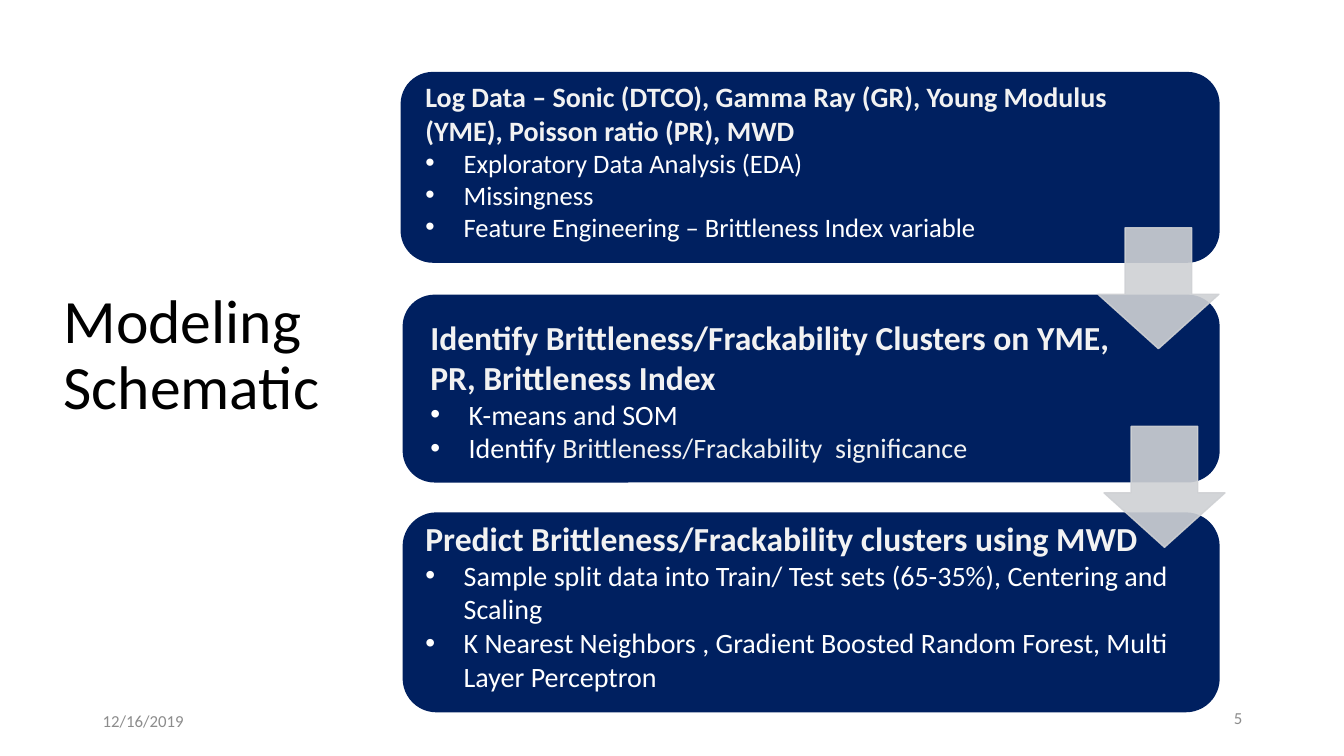
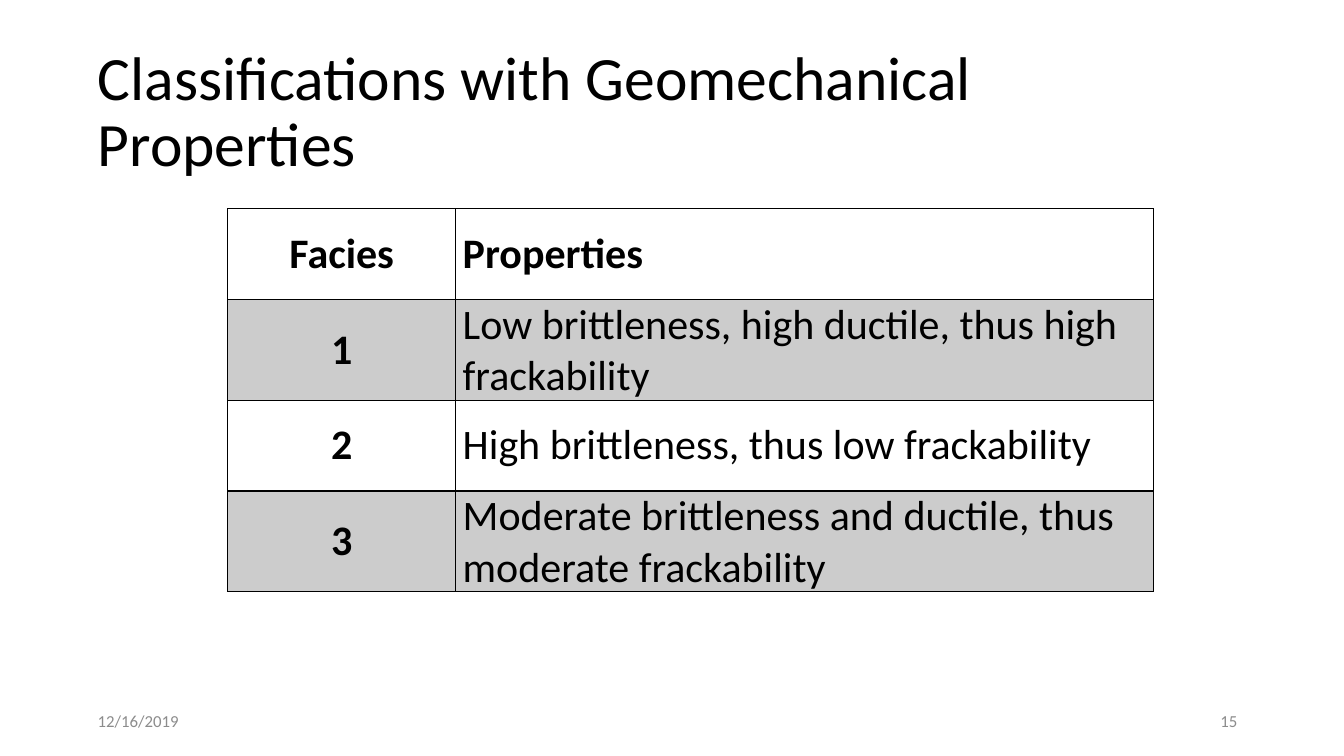
from lxml.etree import SubElement
from pptx import Presentation
from pptx.dml.color import RGBColor
from pptx.enum.shapes import MSO_SHAPE
from pptx.enum.text import MSO_ANCHOR, PP_ALIGN
from pptx.oxml import parse_xml
from pptx.oxml.ns import nsdecls, qn
from pptx.util import Inches, Pt

# Content
DATE = "12/16/2019"
STAGES = [
    dict(box=(3.98, 0.72, 8.11, 1.88), text_at=(4.12, 0.74, 7.58, 2.07), sizes=(20, 19),
         head="Log Data – Sonic (DTCO), Gamma Ray (GR), Young Modulus (YME), Poisson ratio (PR), MWD",
         points=[["Exploratory Data Analysis (EDA)"], ["Missingness"],
                 ["Feature Engineering – Brittleness Index variable"]]),
    dict(box=(4, 2.93, 8.09, 1.85), text_at=(4.17, 3.09, 6.96, 1.58), sizes=(24, 20),
         head="Identify Brittleness/Frackability Clusters on YME, PR, Brittleness Index",
         points=[["K-means and SOM"],
                 ["Identify ", "Brittleness/Frackability  significance"]]),
    dict(box=(4, 5.09, 8.09, 1.97), text_at=(4.12, 5.09, 8.09, 1.85), sizes=(24, 20),
         head="Predict Brittleness/Frackability clusters using MWD",
         points=[["Sample split data into Train/ Test sets (65-35%), Centering and Scaling"],
                 ["K Nearest Neighbors , Gradient Boosted Random Forest, Multi Layer Perceptron"]]),
]
ARROWS = [(10.89, 2.26, 1.2, 1.2), (10.95, 4.23, 1.2, 1.2)]
FACIES = [
    ("Facies", "Properties"),
    ("1", "Low brittleness, high ductile, thus high frackability"),
    ("2", "High brittleness, thus low frackability"),
    ("3", "Moderate brittleness and ductile, thus moderate frackability"),
]
COLUMNS, ROW = (2.26, 6.92), 0.9

# Theme
THEME = dict(font="Calibri", ink="000000", muted="8C8C8C", navy="002060", head="F2F2F2",
             white="FFFFFF", arrow="CFD1D4", band="CCCCCC",
             title_size=44, table_size=30, footer_size=12, indent=0.38)


def rgb(name):
    return RGBColor.from_string(THEME[name])


def inches(*lengths):
    return [Inches(v) for v in lengths]


def add_run(p, text, size, color, bold=False):
    r = p.add_run()
    r.text = text
    r.font.color.rgb = rgb(color)
    for key, value in dict(name=THEME["font"], size=Pt(size), bold=bold).items():
        setattr(r.font, key, value)


def add_text(s, at, anchor=MSO_ANCHOR.TOP):
    tf = s.shapes.add_textbox(*inches(*at)).text_frame
    tf.word_wrap, tf.vertical_anchor = True, anchor
    return tf


def add_slide(prs, title, at, number, date_at, number_at):
    s = prs.slides.add_slide(prs.slide_layouts[5])
    sp = s.shapes.title
    sp.left, sp.top, sp.width, sp.height = inches(*at)
    tf = sp.text_frame
    tf.word_wrap, tf.vertical_anchor = True, MSO_ANCHOR.MIDDLE
    p = tf.paragraphs[0]
    p.alignment, p.line_spacing = PP_ALIGN.LEFT, 0.9
    add_run(p, title, THEME["title_size"], "ink")
    for text, (x, y), align in ((DATE, date_at, PP_ALIGN.LEFT),
                                (number, number_at, PP_ALIGN.RIGHT)):
        p = add_text(s, (x, y, 3, 0.4), MSO_ANCHOR.MIDDLE).paragraphs[0]
        p.alignment = align
        add_run(p, text, THEME["footer_size"], "muted")
    return s


def add_solid(s, kind, at, color):
    sp = s.shapes.add_shape(kind, *inches(*at))
    sp.shadow.inherit = False
    sp.fill.solid()
    sp.fill.fore_color.rgb = sp.line.color.rgb = rgb(color)
    sp.line.width = Pt(1)
    return sp


def set_bullet(p):
    pPr = p._p.get_or_add_pPr()
    indent = Inches(THEME["indent"])
    pPr.set("marL", str(indent))
    pPr.set("indent", str(-indent))
    SubElement(pPr, qn("a:buFont")).set("typeface", "Arial")
    SubElement(pPr, qn("a:buChar")).set("char", "•")


def add_stage(s, stage):
    add_solid(s, MSO_SHAPE.ROUNDED_RECTANGLE, stage["box"], "navy")
    head_size, point_size = stage["sizes"]
    tf = add_text(s, stage["text_at"])
    add_run(tf.paragraphs[0], stage["head"], head_size, "head", True)
    for parts in stage["points"]:
        p = tf.add_paragraph()
        set_bullet(p)
        for text, color in zip(parts, ("white", "head")):
            add_run(p, text, point_size, color)


def add_arrow(s, at):
    sp = add_solid(s, MSO_SHAPE.DOWN_ARROW, at, "arrow")
    sp.adjustments[0], sp.adjustments[1] = 0.55, 0.45
    for color in sp._element.spPr.iter(qn("a:srgbClr")):
        SubElement(color, qn("a:alpha")).set("val", "90000")


def set_borders(cell):
    tcPr = cell._tc.get_or_add_tcPr()
    for i, side in enumerate(("lnL", "lnR", "lnT", "lnB")):
        tcPr.insert(i, parse_xml(
            f'<a:{side} {nsdecls("a")} w="{Pt(1)}"><a:solidFill>'
            f'<a:srgbClr val="{THEME["ink"]}"/></a:solidFill></a:{side}>'))


def add_facies_table(s, x, y):
    table = s.shapes.add_table(len(FACIES), len(COLUMNS),
                               *inches(x, y, sum(COLUMNS), ROW * len(FACIES))).table
    for column, width in zip(table.columns, COLUMNS):
        column.width = Inches(width)
    for i, row in enumerate(FACIES):
        table.rows[i].height = Inches(ROW)
        for j, text in enumerate(row):
            cell = table.cell(i, j)
            fmt = dict(vertical_anchor=MSO_ANCHOR.MIDDLE, margin_left=Inches(0.07),
                       margin_right=Inches(0.07), margin_top=0, margin_bottom=0)
            for key, value in fmt.items():
                setattr(cell, key, value)
            if i % 2:
                cell.fill.solid()
                cell.fill.fore_color.rgb = rgb("band")
            else:
                cell.fill.background()
            set_borders(cell)
            p = cell.text_frame.paragraphs[0]
            p.alignment = PP_ALIGN.LEFT if j else PP_ALIGN.CENTER
            add_run(p, text, THEME["table_size"], "ink", i == 0 or j == 0)


def main():
    prs = Presentation()
    prs.slide_width, prs.slide_height = inches(13.33, 7.5)

    # Modeling schematic: three stages joined by arrows
    s = add_slide(prs, "Modeling Schematic", (0.53, 2.39, 2.94, 2.29), "5",
                  (0.92, 6.95), (9.42, 6.92))
    for stage in STAGES:
        add_stage(s, stage)
    for at in ARROWS:
        add_arrow(s, at)

    # Facies table
    s = add_slide(prs, "Classifications with Geomechanical Properties",
                  (0.87, 0.4, 11.5, 1.45), "15", (0.87, 6.95), (9.37, 6.95))
    add_facies_table(s, 2.26, 2.07)

    prs.save("out.pptx")


if __name__ == "__main__":
    main()
